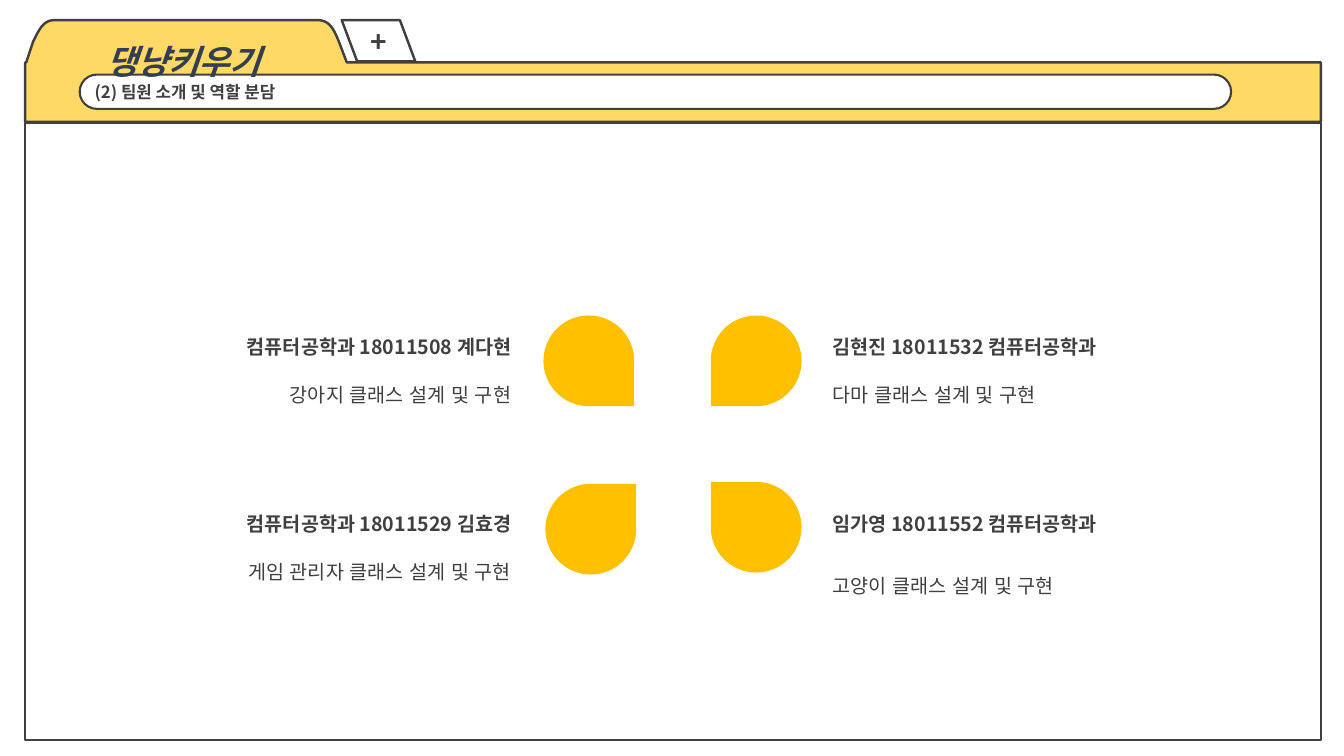
from dataclasses import dataclass

from lxml.etree import SubElement
from pptx import Presentation
from pptx.dml.color import RGBColor
from pptx.enum.shapes import MSO_SHAPE as SHAPE
from pptx.enum.text import MSO_ANCHOR as ANCHOR, MSO_AUTO_SIZE as AUTO_SIZE, PP_ALIGN as ALIGN
from pptx.oxml.ns import qn
from pptx.util import Inches, Pt


@dataclass(frozen=True)
class Theme:
    ink: str = "404040"
    title_ink: str = "333F50"
    paper: str = "FFFFFF"
    folder: str = "FFD966"
    petal: str = "FFC000"
    heading_font: str = "Noto Sans CJK KR"
    body_font: str = "Arial"
    title_size: int = 24
    tab_size: int = 20
    body_size: int = 14
    section_size: int = 12
    frame_line: float = 1.75
    bar_line: float = 1.5


THEME = Theme()
PETAL_SIZE = 0.9
MEMBER_WIDTH = 4.27

MEMBERS = [
    ("컴퓨터공학과 18011508 계다현", "강아지 클래스 설계 및 구현", ALIGN.RIGHT, 0.9, 3.16, 9, (5.39, 3.13, 90)),
    ("김현진 18011532 컴퓨터공학과", "다마 클래스 설계 및 구현", ALIGN.LEFT, 8.16, 3.16, 9, (7.05, 3.13, 180)),
    ("컴퓨터공학과 18011529 김효경", "게임 관리자 클래스 설계 및 구현", ALIGN.RIGHT, 0.9, 4.91, 9, (5.41, 4.8, 0)),
    ("임가영 18011552 컴퓨터공학과", "고양이 클래스 설계 및 구현", ALIGN.LEFT, 8.16, 4.91, 19, (7.05, 4.78, 270)),
]


def paint(sp, fill, line_width=None):
    sp.shadow.inherit = False
    sp.fill.solid()
    sp.fill.fore_color.rgb = RGBColor.from_string(fill)
    if line_width is None:
        sp.line.fill.background()
    else:
        sp.line.color.rgb = RGBColor.from_string(THEME.ink)
        sp.line.width = Pt(line_width)


def add_box(s, kind, x, y, w, h, fill, line_width=None):
    sp = s.shapes.add_shape(kind, Inches(x), Inches(y), Inches(w), Inches(h))
    paint(sp, fill, line_width)
    return sp


def format_paragraph(p, size, align, font=THEME.heading_font, color=THEME.ink, bold=True, italic=False):
    p.alignment = align
    for r in p.runs:
        r.font.name = font
        r.font.size = Pt(size)
        r.font.bold = bold
        r.font.italic = italic
        r.font.color.rgb = RGBColor.from_string(color)
        SubElement(r.font._element, qn("a:ea")).set("typeface", font)


def label(sp, text, size, align):
    tf = sp.text_frame
    tf.text = text
    tf.vertical_anchor = ANCHOR.MIDDLE
    format_paragraph(tf.paragraphs[0], size, align)


def bezier(start, c1, c2, end, steps=16):
    points = []
    for i in range(1, steps + 1):
        t = i / steps
        weights = ((1 - t) ** 3, 3 * t * (1 - t) ** 2, 3 * t * t * (1 - t), t ** 3)
        points.append(tuple(sum(w * v for w, v in zip(weights, axis))
                            for axis in zip(start, c1, c2, end)))
    return points


def add_folder(s):
    outline = [(3.15, 0.2)]
    outline += bezier((3.15, 0.2), (3.27, 0.2), (3.31, 0.29), (3.36, 0.41))
    outline += [(3.44, 0.62), (13.1, 0.62), (13.1, 1.21), (0.25, 1.21), (0.25, 0.62), (0.26, 0.62), (0.33, 0.41)]
    outline += bezier((0.33, 0.41), (0.39, 0.29), (0.43, 0.2), (0.54, 0.2))
    builder = s.shapes.build_freeform(Inches(0.54), Inches(0.2))
    builder.add_line_segments([(Inches(x), Inches(y)) for x, y in outline], close=True)
    paint(builder.convert_to_shape(), THEME.folder, THEME.frame_line)


def add_new_tab(s):
    sp = add_box(s, SHAPE.PARALLELOGRAM, 3.39, 0.2, 0.73, 0.41, THEME.paper, THEME.frame_line)
    sp.adjustments[0] = 0.373
    sp.element.spPr.xfrm.set("flipH", "1")
    label(sp, "+", THEME.tab_size, ALIGN.CENTER)
    sp.text_frame.word_wrap = False


def add_section_bar(s):
    sp = add_box(s, SHAPE.ROUNDED_RECTANGLE, 0.79, 0.74, 11.42, 0.34, THEME.paper, THEME.bar_line)
    sp.adjustments[0] = 0.5
    label(sp, "(2) 팀원 소개 및 역할 분담", THEME.section_size, ALIGN.LEFT)


def place_title(s):
    title = s.shapes.title
    title.left, title.top, title.width, title.height = (Inches(v) for v in (0.55, 0.16, 2.54, 0.71))
    tf = title.text_frame
    tf.text = "댕냥키우기"
    tf.auto_size = AUTO_SIZE.NONE
    tf.vertical_anchor = ANCHOR.TOP
    p = tf.paragraphs[0]
    p.line_spacing = 1.5
    p.space_before = Pt(0)
    format_paragraph(p, THEME.title_size, ALIGN.CENTER, color=THEME.title_ink, italic=True)
    title.element.getparent().append(title.element)


def add_member(s, name, role, align, x, y, gap, petal):
    petal_x, petal_y, rotation = petal
    sp = add_box(s, SHAPE.TEAR, petal_x, petal_y, PETAL_SIZE, PETAL_SIZE, THEME.petal)
    sp.rotation = rotation
    tf = s.shapes.add_textbox(Inches(x), Inches(y), Inches(MEMBER_WIDTH), Inches(0.93)).text_frame
    tf.word_wrap = True
    tf.text = f"{name}\n{role}"
    heading, detail = tf.paragraphs
    heading.line_spacing = detail.line_spacing = 1.5
    detail.space_before = Pt(gap)
    format_paragraph(heading, THEME.body_size, align)
    format_paragraph(detail, THEME.body_size, align, font=THEME.body_font, bold=False)


def main():
    prs = Presentation()
    prs.slide_width, prs.slide_height = Inches(13.33), Inches(7.5)
    s = prs.slides.add_slide(prs.slide_layouts[5])
    add_box(s, SHAPE.RECTANGLE, 0.25, 1.22, 12.85, 6.12, THEME.paper, THEME.frame_line)
    add_folder(s)
    add_section_bar(s)
    add_new_tab(s)
    place_title(s)
    for member in MEMBERS:
        add_member(s, *member)
    prs.save("out.pptx")


if __name__ == "__main__":
    main()
